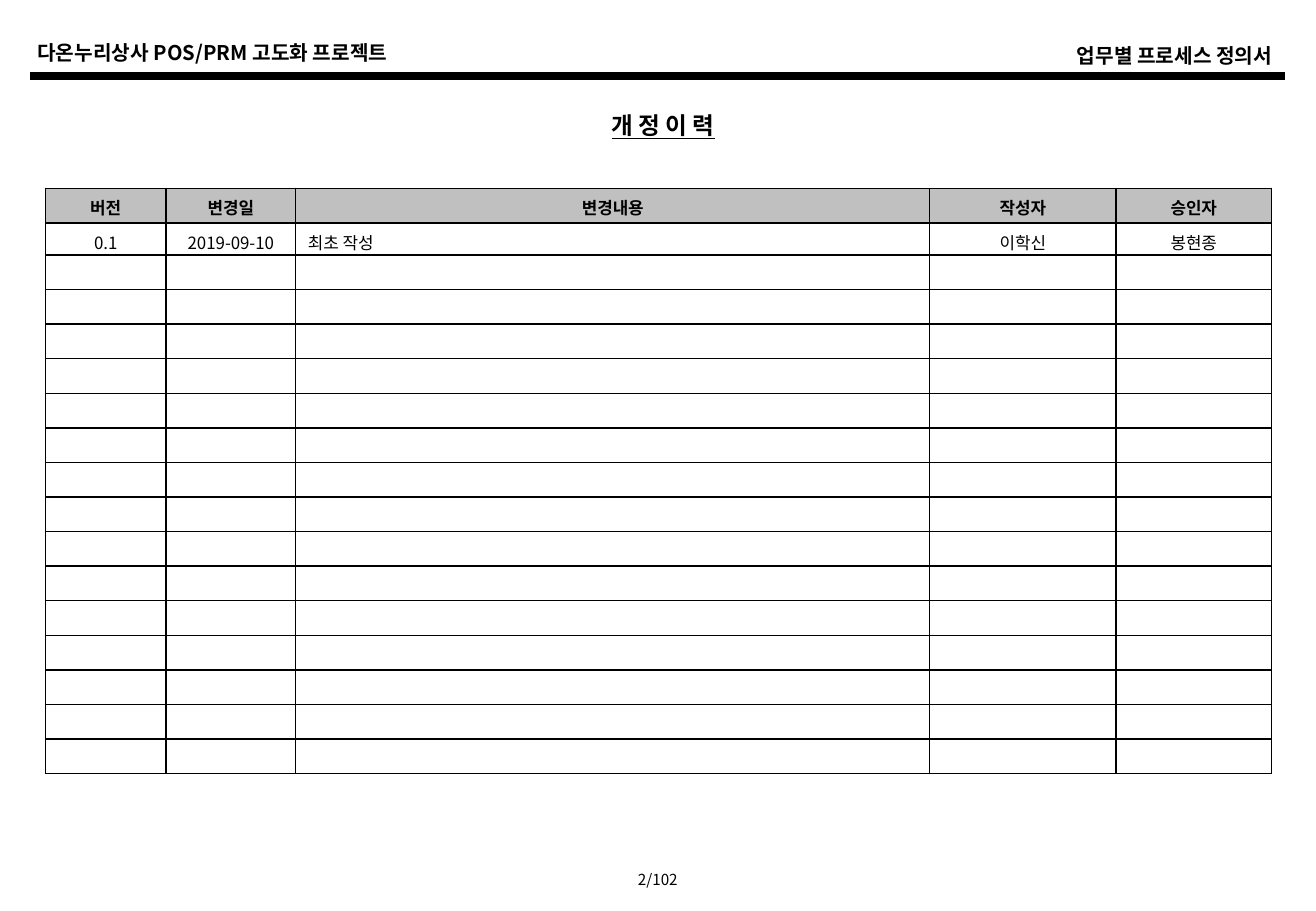
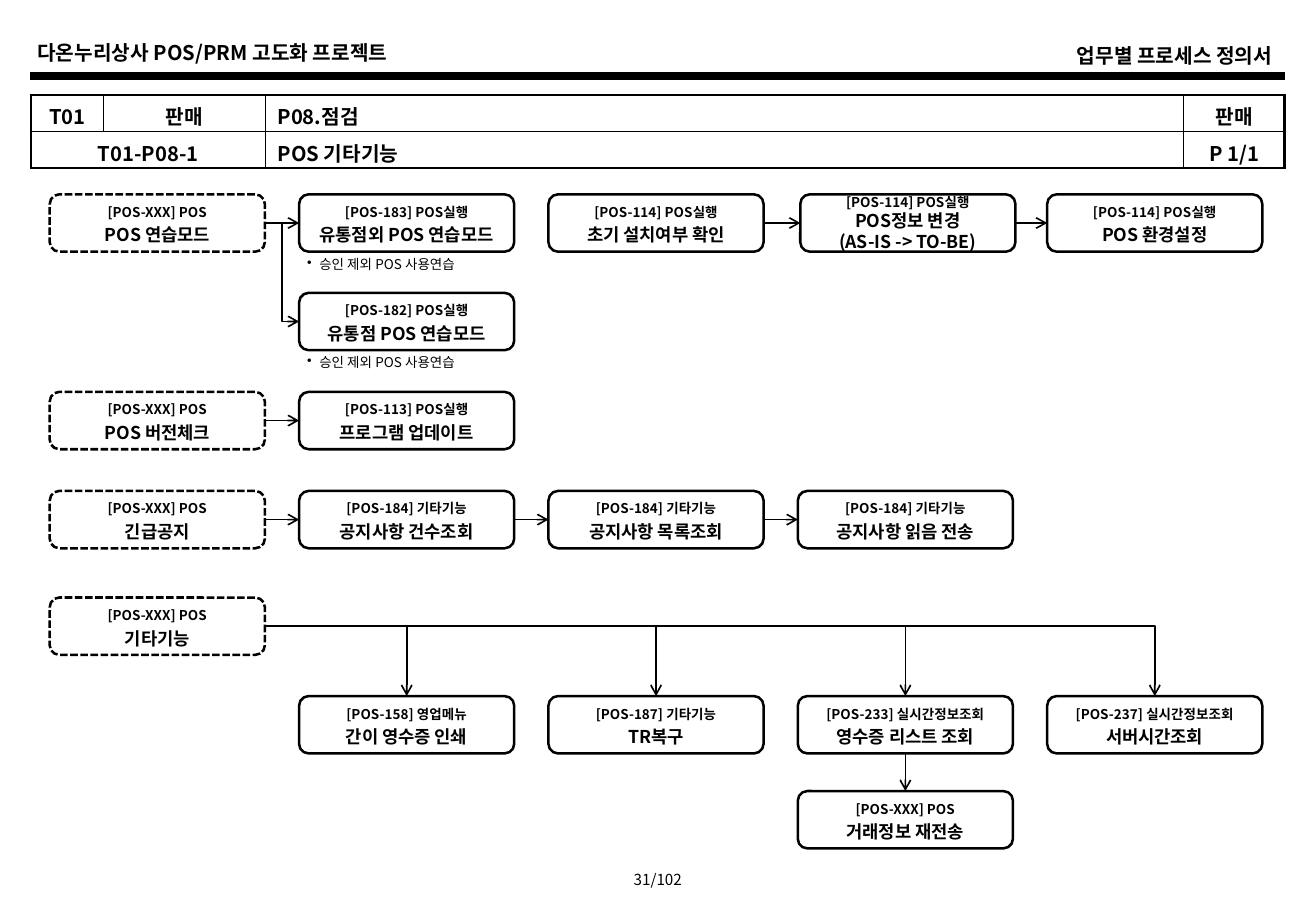
"""Build a revision-history slide and a POS process-flow slide."""
from lxml.etree import SubElement
from pptx import Presentation
from pptx.dml.color import RGBColor
from pptx.enum.dml import MSO_LINE
from pptx.enum.shapes import MSO_CONNECTOR as Link, MSO_SHAPE
from pptx.enum.text import MSO_ANCHOR as Anchor, PP_ALIGN as Align
from pptx.oxml import parse_xml
from pptx.oxml.ns import nsdecls, qn
from pptx.util import Pt

FONT = "Noto Sans CJK KR"
BLACK, WHITE, GRAY = "000000", "FFFFFF", "C0C0C0"
PROJECT = "다온누리상사 POS/PRM 고도화 프로젝트"
DOCUMENT = "업무별 프로세스 정의서"

REVISION_TITLE = "개 정 이 력"
REVISION_COLUMNS = [71.3, 77, 375.8, 110.4, 92.2]
REVISIONS = [
    ["버전", "변경일", "변경내용", "작성자", "승인자"],
    ["0.1", "2019-09-10", "최초 작성", "이학신", "봉현종"],
] + [[""] * 5 for _ in range(15)]
REVISION_HEIGHTS = [20.6, 19] + [20.5] * 15

PROCESS_COLUMNS = [43.2, 95.8, 544.3, 59.8]
PROCESS = [
    ["T01", "판매", "P08.점검", "판매"],
    ["T01-P08-1", "", "POS 기타기능", "P 1/1"],
]
WIDE_COLUMN = 2

ROW_TOPS = [115.2, 173.6, 232.3, 291, 354.2, 412.6, 468.9]
COLUMN_LEFT, COLUMN_STEP = 29.5, 147.8
BOX_WIDTH, BOX_HEIGHT = 127.5, 34
START = "[POS-XXX] POS"
STEPS = {
    "practice": (0, 0, START, "POS 연습모드"),
    "outside": (1, 0, "[POS-183] POS실행", "유통점외 POS 연습모드"),
    "install": (2, 0, "[POS-114] POS실행", "초기 설치여부 확인"),
    "change": (3.01, 0, "[POS-114] POS실행", "POS정보 변경", "(AS-IS -> TO-BE)"),
    "settings": (4, 0, "[POS-114] POS실행", "POS 환경설정"),
    "store": (1, 1, "[POS-182] POS실행", "유통점 POS 연습모드"),
    "version": (0, 2, START, "POS 버전체크"),
    "update": (1, 2, "[POS-113] POS실행", "프로그램 업데이트"),
    "urgent": (0, 3, START, "긴급공지"),
    "count": (1, 3, "[POS-184] 기타기능", "공지사항 건수조회"),
    "list": (2, 3, "[POS-184] 기타기능", "공지사항 목록조회"),
    "read": (3, 3, "[POS-184] 기타기능", "공지사항 읽음 전송"),
    "other": (0, 4, START, "기타기능"),
    "receipt": (1, 5, "[POS-158] 영업메뉴", "간이 영수증 인쇄"),
    "recover": (2, 5, "[POS-187] 기타기능", "TR복구"),
    "receipts": (3, 5, "[POS-233] 실시간정보조회", "영수증 리스트 조회"),
    "time": (4, 5, "[POS-237] 실시간정보조회", "서버시간조회"),
    "resend": (3, 6, START, "거래정보 재전송"),
}
TOP, LEFT, BOTTOM, RIGHT = range(4)
ACROSS = [("practice", "outside"), ("install", "change"), ("change", "settings"),
          ("version", "update"), ("urgent", "count"), ("count", "list"), ("list", "read")]
BRANCHES = ["receipt", "recover", "receipts", "time"]
LINKS = (
    [(a, RIGHT, b, LEFT, "line") for a, b in ACROSS]
    + [("practice", RIGHT, "store", LEFT, "bentConnector3")]
    + [("other", RIGHT, b, TOP, "bentConnector2") for b in BRANCHES]
    + [("receipts", BOTTOM, "resend", TOP, "line")]
)
NOTE = "승인 제외 POS 사용연습"
NOTE_TOPS = [148.3, 206.6]


def color(value):
    return RGBColor.from_string(value)


def style(para, size, bold=False, align=Align.LEFT, underline=None):
    para.alignment = align
    font = para.font
    font.size, font.bold, font.underline = Pt(size), bold, underline
    font.color.rgb = color(BLACK)
    font.name = FONT
    SubElement(font._rPr, qn("a:ea"), typeface=FONT)


def add_text(page, area, text, size, bold=False, align=Align.LEFT, underline=None,
             anchor=Anchor.TOP):
    box = page.shapes.add_textbox(*map(Pt, area))
    box.text_frame.word_wrap = True
    box.text_frame.vertical_anchor = anchor
    para = box.text_frame.paragraphs[0]
    para.text = text
    style(para, size, bold, align, underline)
    return para


def add_link(page, kind=Link.STRAIGHT, ends=(0, 0, 0, 0), width=1):
    link = page.shapes.add_connector(kind, *map(Pt, ends))
    link.line.color.rgb = color(BLACK)
    link.line.width = Pt(width)
    SubElement(link._element.spPr, qn("a:effectLst"))
    return link


def add_page(deck, number):
    page = deck.slides.add_slide(deck.slide_layouts[6])
    add_text(page, (356.4, 512.6, 67, 18), number, 9, align=Align.CENTER)
    add_text(page, (15.1, 20.6, 299, 21.6), PROJECT, 12, True)
    add_text(page, (462.2, 22, 299, 21.6), DOCUMENT, 12, True, Align.RIGHT)
    add_link(page, ends=(18, 44.9, 761.8, 44.9), width=4.5)
    return page


def set_borders(cell, widths):
    for index, (side, width) in enumerate(zip("LRTB", widths)):
        cell._tc.get_or_add_tcPr().insert(index, parse_xml(
            f'<a:ln{side} {nsdecls("a")} w="{Pt(width)}"><a:solidFill>'
            f'<a:srgbClr val="{BLACK}"/></a:solidFill></a:ln{side}>'))


def add_grid(page, left, top, columns, heights, rows, size, inner, outer, bold_rows,
             left_cells, anchor, header_fill=None):
    last_row, last_column = len(rows) - 1, len(columns) - 1
    table = page.shapes.add_table(len(rows), len(columns), Pt(left), Pt(top),
                                  Pt(sum(columns)), Pt(sum(heights))).table
    table.first_row = table.horz_banding = False
    for column, width in zip(table.columns, columns):
        column.width = Pt(width)
    for r, values in enumerate(rows):
        table.rows[r].height = Pt(heights[r])
        for c, value in enumerate(values):
            cell = table.cell(r, c)
            cell.vertical_anchor = anchor
            cell.margin_top, cell.margin_bottom = Pt(3.6), Pt(0)
            if header_fill and r == 0:
                cell.margin_top = Pt(1.8)
                cell.fill.solid()
                cell.fill.fore_color.rgb = color(header_fill)
            else:
                cell.fill.background()
            edges = (c == 0, c == last_column, r == 0, r == last_row)
            set_borders(cell, [outer if edge else inner for edge in edges])
            para = cell.text_frame.paragraphs[0]
            align = Align.LEFT if (r, c) in left_cells else Align.CENTER
            style(para, size, r < bold_rows, align)
            if value:
                para.add_run().text = value
            else:
                SubElement(para._p, qn("a:endParaRPr"), sz=str(size * 100))
    return table


def add_step(page, column, row, *lines):
    box = page.shapes.add_shape(
        MSO_SHAPE.ROUNDED_RECTANGLE, Pt(COLUMN_LEFT + column * COLUMN_STEP),
        Pt(ROW_TOPS[row]), Pt(BOX_WIDTH), Pt(BOX_HEIGHT))
    box.shadow.inherit = False
    box.fill.solid()
    box.fill.fore_color.rgb = color(WHITE)
    box.line.color.rgb = color(BLACK)
    box.line.width = Pt(1.5)
    if column == 0:
        box.line.dash_style = MSO_LINE.SQUARE_DOT
    frame = box.text_frame
    frame.word_wrap = True
    frame.vertical_anchor = Anchor.MIDDLE
    frame.margin_left = frame.margin_right = Pt(2.9)
    frame.margin_top = frame.margin_bottom = Pt(2.9)
    frame.text = "\n".join(lines)
    for index, para in enumerate(frame.paragraphs):
        style(para, 10.5 if index else 8, True, Align.CENTER)
        para.line_spacing = 1.2 if len(lines) == 2 else 1.0
    return box


def join_steps(page, boxes, start, start_side, end, end_side, shape):
    link = add_link(page, Link.STRAIGHT if shape == "line" else Link.ELBOW)
    link.begin_connect(boxes[start], start_side)
    link.end_connect(boxes[end], end_side)
    link._element.spPr.find(qn("a:prstGeom")).set("prst", shape)
    SubElement(link.line._get_or_add_ln(), qn("a:tailEnd"), type="arrow")


def add_note(page, top):
    para = add_text(page, (175, top, 116, 17.3), NOTE, 8)
    properties = para._p.get_or_add_pPr()
    properties.set("marL", str(Pt(7.2)))
    properties.set("indent", str(-Pt(7.2)))
    bullet = parse_xml(f'<a:buChar {nsdecls("a")} char="•"/>')
    properties.find(qn("a:defRPr")).addprevious(bullet)


def build_revisions(deck):
    page = add_page(deck, "2/102")
    add_text(page, (21.6, 60.5, 743, 27.4), REVISION_TITLE, 14, True, Align.CENTER,
             True, Anchor.MIDDLE)
    add_grid(page, 27, 111.6, REVISION_COLUMNS, REVISION_HEIGHTS, REVISIONS, 10, 1, 1,
             1, {(1, 2)}, Anchor.MIDDLE, GRAY)


def build_process(deck):
    page = add_page(deck, "31/102")
    table = add_grid(page, 18.3, 56.4, PROCESS_COLUMNS, [21.6, 21.6], PROCESS, 12, 0.75,
                     1.5, 2, {(0, WIDE_COLUMN), (1, WIDE_COLUMN)}, Anchor.TOP)
    table.cell(1, 0).merge(table.cell(1, 1))
    boxes = {name: add_step(page, *step) for name, step in STEPS.items()}
    for link in LINKS:
        join_steps(page, boxes, *link)
    for top in NOTE_TOPS:
        add_note(page, top)


def main():
    deck = Presentation()
    deck.slide_width, deck.slide_height = Pt(780), Pt(540)
    build_revisions(deck)
    build_process(deck)
    deck.save("out.pptx")


if __name__ == "__main__":
    main()
